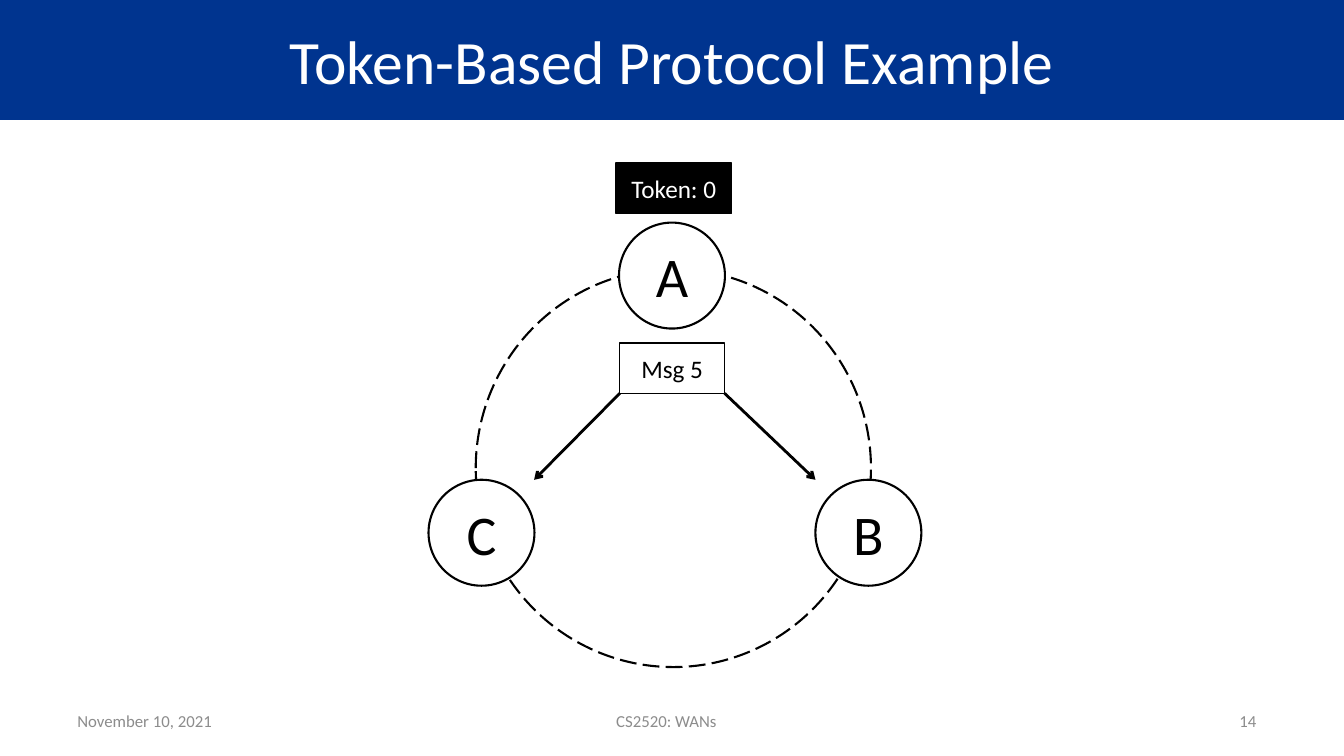
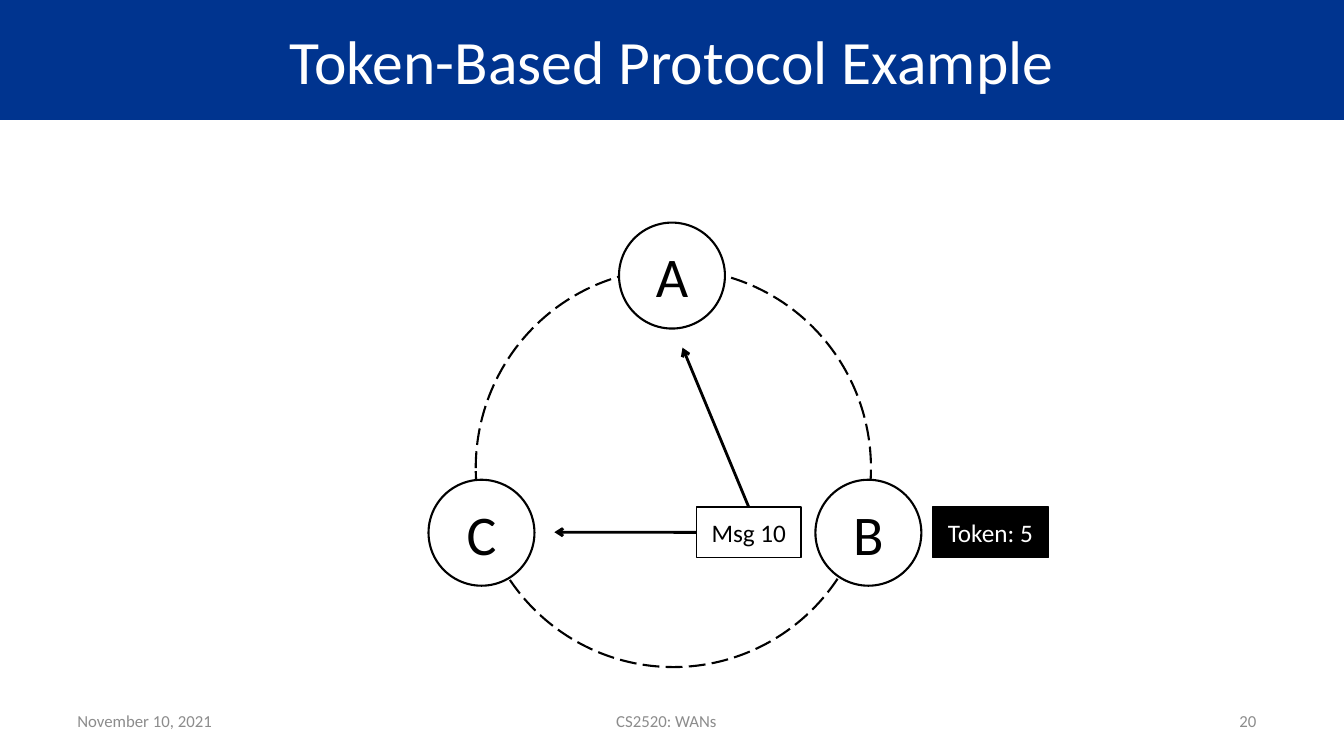
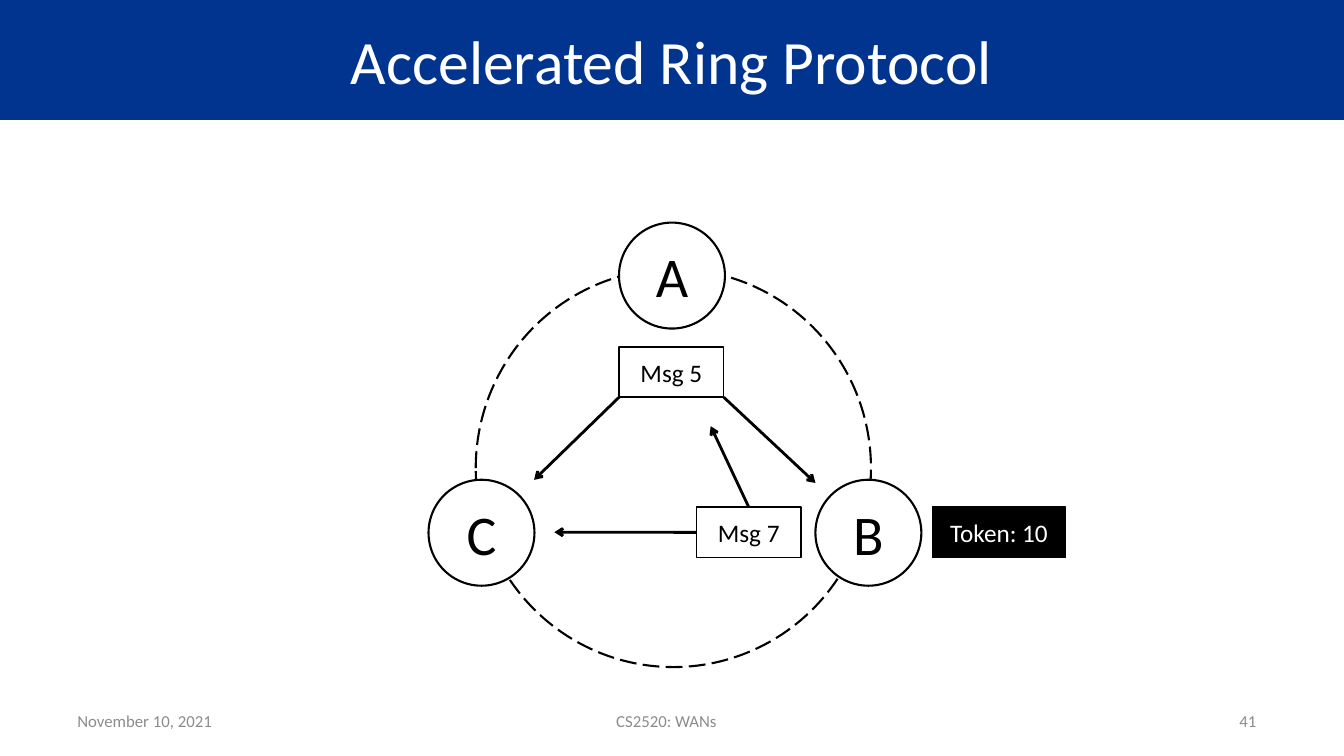
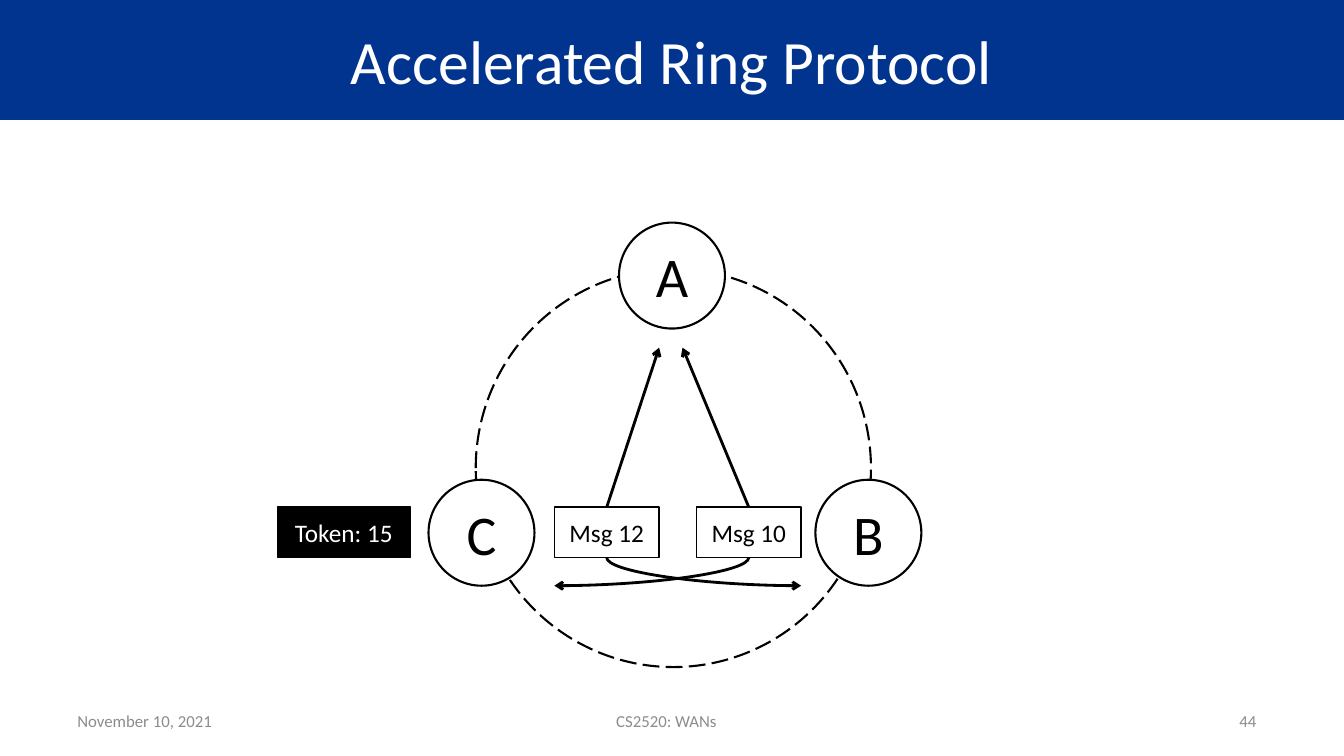
from collections import namedtuple
from dataclasses import dataclass

from lxml.etree import SubElement
from pptx import Presentation
from pptx.dml.color import RGBColor
from pptx.enum.dml import MSO_LINE
from pptx.enum.shapes import MSO_CONNECTOR, MSO_SHAPE
from pptx.enum.text import MSO_ANCHOR, PP_ALIGN
from pptx.oxml.ns import qn
from pptx.util import Cm, Pt


@dataclass(frozen=True)
class Theme:
    font: str = "Calibri"
    band: RGBColor = RGBColor(0x00, 0x34, 0x8F)
    ink: RGBColor = RGBColor(0, 0, 0)
    paper: RGBColor = RGBColor(255, 255, 255)
    muted: RGBColor = RGBColor(0x8C, 0x8C, 0x8C)
    title_size: int = 44
    node_size: int = 40
    label_size: int = 18
    footer_size: int = 12
    ring_line: float = 1.5
    label_line: float = 1
    arrow_line: float = 2


THEME = Theme()
Message = namedtuple("Message", "text left top arrows")
Arrow = namedtuple("Arrow", "side target curved", defaults=(False,))

# Content: all lengths in centimetres
SLIDE_WIDTH, SLIDE_HEIGHT = 33.87, 19.05
TITLE_HEIGHT = 3.02
FOOTER_TOP, FOOTER_HEIGHT = 17.65, 1.02
DATE, COURSE = "November 10, 2021", "CS2520: WANs"

RING = (11.99, 6.78, 9.96, 10.03)
NODE_DIAMETER = 2.67
NODES = {"A": (15.6, 5.61), "B": (20.55, 12.09), "C": (10.8, 12.09)}

LABEL_HEIGHT = 1.27
MESSAGE_WIDTH = 2.64
ROW_TOP = 12.78
A_LEFT, B_LEFT, C_LEFT = 15.6, 17.55, 13.97  # message left edge per sender

# Where an arrow leaves a message box, as fractions of its width and height
SIDES = {"top": (0.5, 0), "left": (0, 0.5), "bottom": (0.5, 1),
         "bottom left": (0, 1), "bottom right": (1, 1)}

A_TO_C = Arrow("bottom left", (13.46, 12.09))
B_TO_A = Arrow("top", (17.2, 8.76))
B_TO_C = Arrow("left", (13.97, 13.41))
C_TO_A = Arrow("top", (16.61, 8.76))

BASIC, ACCELERATED = "Token-Based Protocol Example", "Accelerated Ring Protocol"

# Title, slide number, token (text, left, top, width), messages
SLIDES = [
    (BASIC, "14", ("Token: 0", 15.52, 4.11, 2.92),
     [Message("Msg 5", 15.62, 8.64,
              [A_TO_C, Arrow("bottom right", (20.55, 12.09))])]),
    (BASIC, "20", ("Token: 5", 23.5, ROW_TOP, 2.92),
     [Message("Msg 10", B_LEFT, ROW_TOP, [B_TO_C, B_TO_A])]),
    (ACCELERATED, "41", ("Token: 10", 23.5, ROW_TOP, 3.35),
     [Message("Msg 5", A_LEFT, 8.74,
              [A_TO_C, Arrow("bottom right", (20.55, 12.17))]),
      Message("Msg 7", B_LEFT, ROW_TOP,
              [B_TO_C, Arrow("top", (17.91, 10.74))])]),
    (ACCELERATED, "44", ("Token: 15", 6.99, ROW_TOP, 3.35),
     [Message("Msg 10", B_LEFT, ROW_TOP,
              [Arrow("bottom", (13.97, 14.76), curved=True), B_TO_A]),
      Message("Msg 12", C_LEFT, ROW_TOP,
              [Arrow("bottom", (20.19, 14.76), curved=True), C_TO_A])]),
]


# Drawing helpers
def write_text(shape, text, size, color=THEME.ink, align=PP_ALIGN.CENTER):
    frame = shape.text_frame
    frame.word_wrap = True
    frame.vertical_anchor = MSO_ANCHOR.MIDDLE
    paragraph = frame.paragraphs[0]
    paragraph.alignment = align
    run = paragraph.add_run()
    run.text = text
    run.font.name = THEME.font
    run.font.size = Pt(size)
    run.font.color.rgb = color


def add_outline(slide, kind, box, line_width, fill=None):
    shape = slide.shapes.add_shape(kind, *map(Cm, box))
    shape.shadow.inherit = False
    if fill is None:
        shape.fill.background()
    else:
        shape.fill.solid()
        shape.fill.fore_color.rgb = fill
    shape.line.color.rgb = THEME.ink
    shape.line.width = Pt(line_width)
    return shape


def add_label(slide, text, box, fill, color):
    shape = add_outline(slide, MSO_SHAPE.RECTANGLE, box, THEME.label_line, fill)
    write_text(shape, text, THEME.label_size, color=color)


def add_arrow(slide, start, end, curved):
    kind = MSO_CONNECTOR.STRAIGHT
    rightward = end[0] > start[0]
    if curved:
        # A quarter bend leaves sideways, so turn its box to leave downwards
        kind = MSO_CONNECTOR.CURVE
        middle_x, middle_y = ((a + b) / 2 for a, b in zip(start, end))
        half_width = (end[1] - start[1]) / 2
        half_height = abs(end[0] - start[0]) / 2
        if rightward:
            half_width = -half_width
        start = (middle_x - half_width, middle_y - half_height)
        end = (middle_x + half_width, middle_y + half_height)
    connector = slide.shapes.add_connector(kind, *map(Cm, start + end))
    connector.line.color.rgb = THEME.ink
    connector.line.width = Pt(THEME.arrow_line)
    properties = connector._element.spPr
    if curved:
        properties.find(qn("a:prstGeom")).set("prst", "curvedConnector2")
        turn = 270 if rightward else 90
        properties.find(qn("a:xfrm")).set("rot", str(turn * 60000))
    SubElement(properties.find(qn("a:ln")), qn("a:tailEnd"), type="arrow")
    SubElement(properties, qn("a:effectLst"))


# Slide parts
def add_title(slide, text):
    title = slide.shapes.title
    title.left, title.top = Cm(0), Cm(0)
    title.width, title.height = Cm(SLIDE_WIDTH), Cm(TITLE_HEIGHT)
    title.fill.solid()
    title.fill.fore_color.rgb = THEME.band
    write_text(title, text, THEME.title_size, color=THEME.paper)


def add_footer(slide, number):
    for text, left, width, align in [
        (DATE, 1.7, 4.17, PP_ALIGN.LEFT),
        (COURSE, 5.2, 23.19, PP_ALIGN.CENTER),
        (number, 28.38, 3.53, PP_ALIGN.RIGHT),
    ]:
        box = (left, FOOTER_TOP, width, FOOTER_HEIGHT)
        footer = slide.shapes.add_textbox(*map(Cm, box))
        write_text(footer, text, THEME.footer_size, color=THEME.muted, align=align)


def add_ring(slide):
    ring = add_outline(slide, MSO_SHAPE.OVAL, RING, THEME.ring_line)
    ring.line.dash_style = MSO_LINE.LONG_DASH
    for name, (left, top) in NODES.items():
        box = (left, top, NODE_DIAMETER, NODE_DIAMETER)
        node = add_outline(slide, MSO_SHAPE.OVAL, box, THEME.ring_line, THEME.paper)
        write_text(node, name, THEME.node_size)


def add_message(slide, message):
    for arrow in message.arrows:
        across, down = SIDES[arrow.side]
        start = (message.left + across * MESSAGE_WIDTH,
                 message.top + down * LABEL_HEIGHT)
        add_arrow(slide, start, arrow.target, arrow.curved)
    box = (message.left, message.top, MESSAGE_WIDTH, LABEL_HEIGHT)
    add_label(slide, message.text, box, THEME.paper, THEME.ink)


# Build the presentation
presentation = Presentation()
presentation.slide_width = Cm(SLIDE_WIDTH)
presentation.slide_height = Cm(SLIDE_HEIGHT)
title_only = presentation.slide_layouts[5]

for title, number, token, messages in SLIDES:
    slide = presentation.slides.add_slide(title_only)
    add_title(slide, title)
    add_footer(slide, number)
    add_ring(slide)
    token_text, *token_box = token
    add_label(slide, token_text, (*token_box, LABEL_HEIGHT), THEME.ink, THEME.paper)
    for message in messages:
        add_message(slide, message)

presentation.save("out.pptx")
